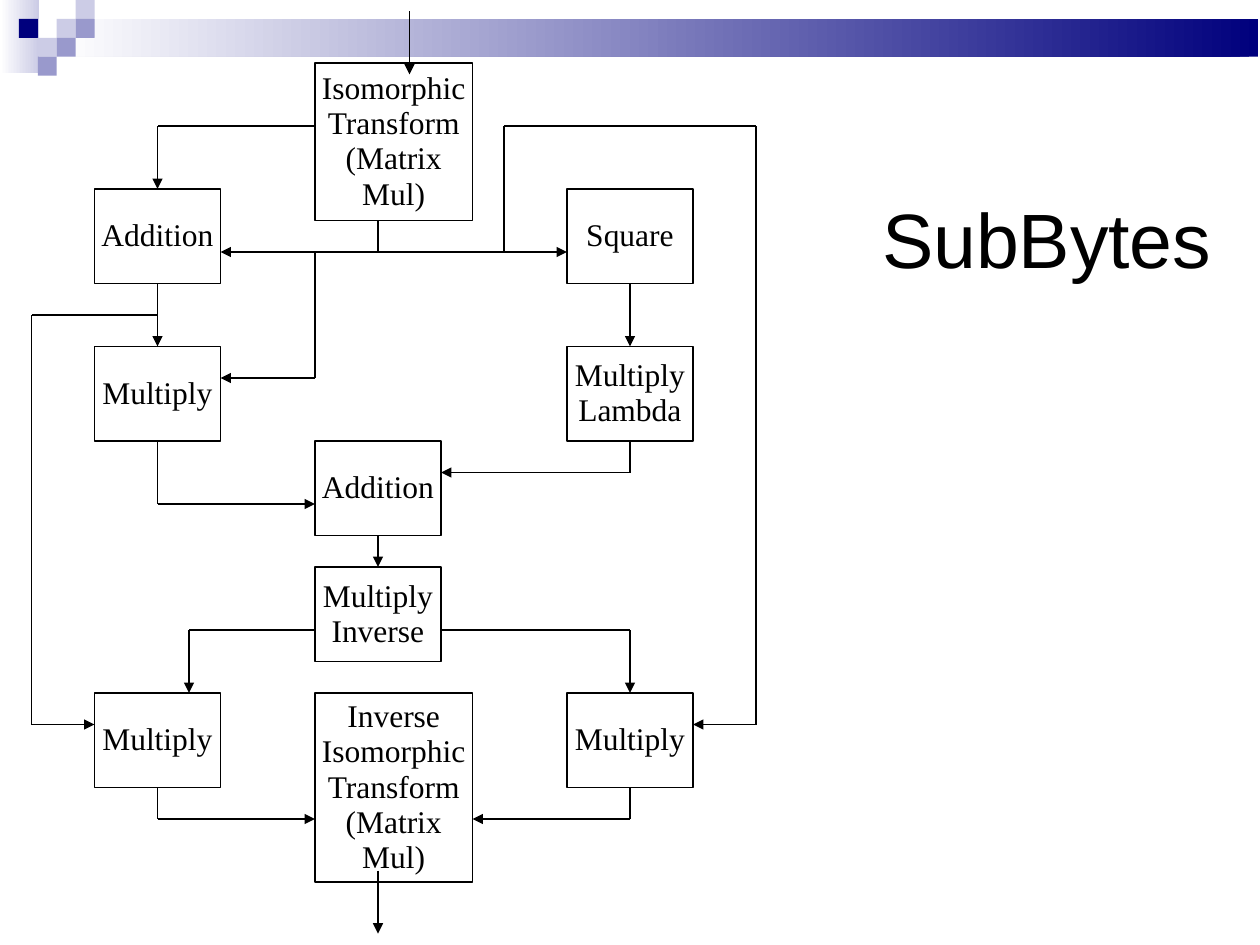
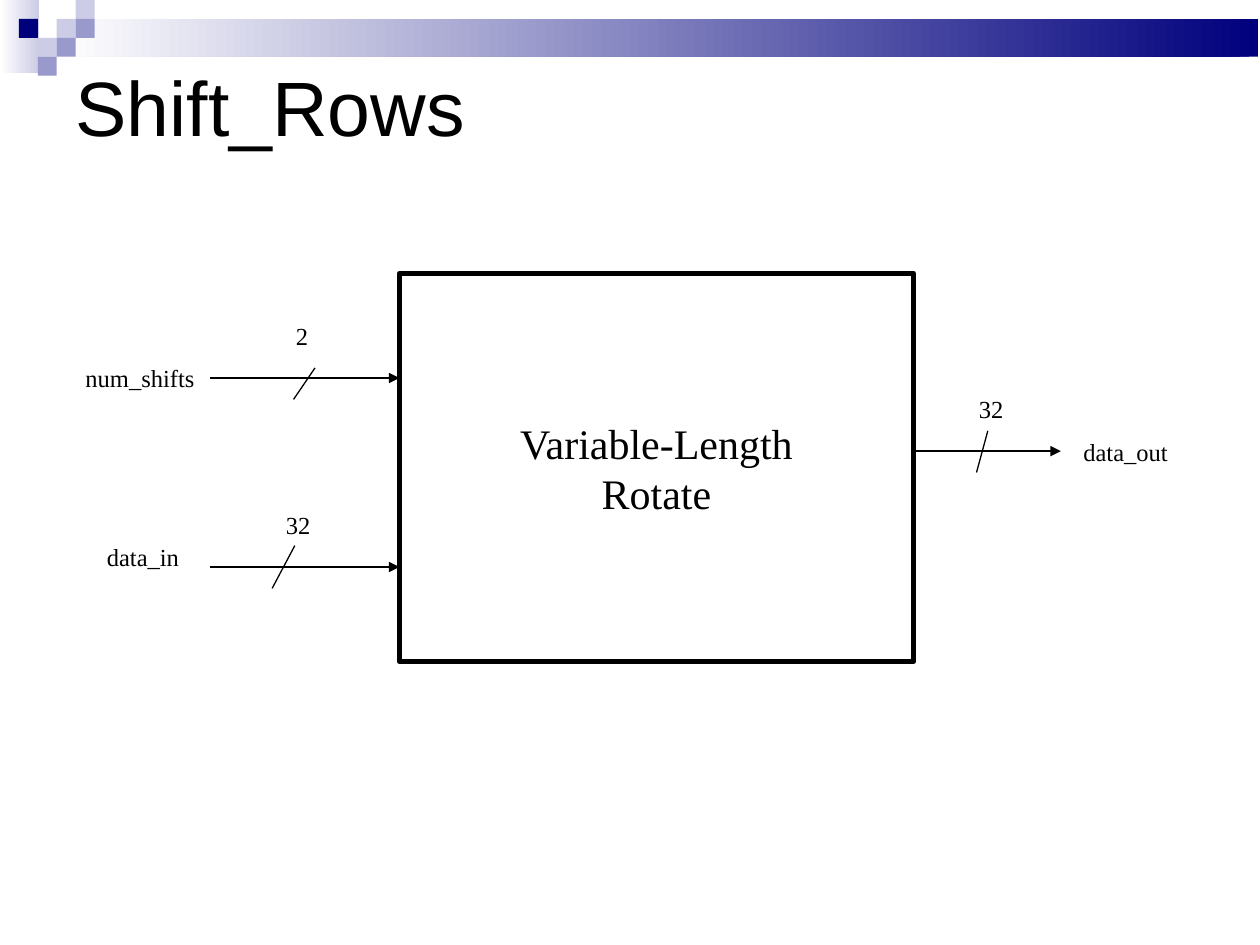
from typing import Any, NamedTuple

from lxml.etree import SubElement
from pptx import Presentation
from pptx.dml.color import RGBColor
from pptx.enum.shapes import MSO_CONNECTOR as CONNECTOR, MSO_SHAPE as SHAPE
from pptx.enum.text import MSO_ANCHOR as ANCHOR, MSO_AUTO_SIZE as FIT, PP_ALIGN as ALIGN
from pptx.oxml.ns import qn
from pptx.util import Pt

PX = 9144  # EMU per px, 100 px to the inch
COLORS = {"ink": "000000", "paper": "FFFFFF", "navy": "00007D",
          "lilac": "9999CC", "mist": "CCCCE6"}
TITLE_FONT, BODY_FONT = "Arial", "Times New Roman"
TITLE_ONLY = 5
CELL = 15

MARGINS = {"margin_left": 10 * PX, "margin_right": 10 * PX,
           "margin_top": 5 * PX, "margin_bottom": 5 * PX}
NO_MARGINS = dict.fromkeys(MARGINS, 0)
TITLE_FRAME = MARGINS | {"vertical_anchor": ANCHOR.MIDDLE, "word_wrap": True,
                         "auto_size": FIT.NONE}
BOX_FRAME = MARGINS | {"vertical_anchor": ANCHOR.MIDDLE, "word_wrap": False}
LABEL_FRAME = MARGINS | {"word_wrap": True, "auto_size": FIT.SHAPE_TO_FIT_TEXT}
LABEL_PARAGRAPH = {"alignment": ALIGN.LEFT, "space_before": Pt(8.8)}

Point = tuple[int, int]


class Area(NamedTuple):
    x: int
    y: int
    w: int
    h: int

    def emu(self) -> list[int]:
        return [v * PX for v in self]


class Block(NamedTuple):
    text: str
    area: Area
    size: int = 18
    border: float = 0.75
    spacing: float = 0.93


class Route(NamedTuple):
    points: list[Point]
    arrow: bool = True


class Signal(NamedTuple):
    name: str
    name_at: Point
    bits: str
    bits_at: Point
    wire: list[Point]
    slash: list[Point]


# Decoration cells as column, row, colour
MOSAIC = [(3, 1, "mist"), (4, 0, "mist"), (4, 1, "lilac"), (2, 2, "mist"),
          (1, 1, "navy"), (3, 2, "lilac"), (2, 3, "lilac")]

LEFT, MIDDLE, RIGHT = 75, 250, 450


def step(text: str, x: int, y: int, w: int = 100, h: int = 75) -> Block:
    return Block(text, Area(x, y, w, h))


STEPS = [
    step("Isomorphic\nTransform\n(Matrix\nMul)", MIDDLE, 50, 125, 125),
    step("Square", RIGHT, 150),
    step("Addition", LEFT, 150),
    step("Multiply\nLambda", RIGHT, 275),
    step("Multiply", LEFT, 275),
    step("Multiply", LEFT, 550),
    step("Multiply", RIGHT, 550),
    step("Multiply\nInverse", MIDDLE, 450),
    step("Addition", MIDDLE, 350),
    step("Inverse\nIsomorphic\nTransform\n(Matrix\nMul)", MIDDLE, 550, 125, 150),
]

ROUTES = [
    Route([(325, 9), (325, 59)]),
    Route([(300, 175), (300, 200)], arrow=False),
    Route([(250, 100), (125, 100), (125, 150)]),
    Route([(300, 200), (175, 200)]),
    Route([(300, 200), (450, 200)]),
    Route([(125, 225), (125, 275)]),
    Route([(250, 200), (250, 300), (175, 300)]),
    Route([(125, 350), (125, 400), (250, 400)]),
    Route([(125, 250), (25, 250), (25, 575), (75, 575)]),
    Route([(400, 200), (400, 100), (475, 100), (600, 100), (600, 575), (550, 575)]),
    Route([(500, 225), (500, 275)]),
    Route([(500, 350), (500, 375), (350, 375)]),
    Route([(300, 425), (300, 450)]),
    Route([(250, 500), (150, 500), (150, 550)]),
    Route([(350, 500), (500, 500), (500, 550)]),
    Route([(125, 625), (125, 650), (250, 650)]),
    Route([(500, 625), (500, 650), (375, 650)]),
    Route([(300, 691), (300, 741)]),
]

ROTATOR = Block("Variable-Length\nRotate", Area(317, 217, 408, 308), 24, 3, 1.0)

SIGNALS = [
    Signal("num_shifts", (58, 283), "2", (225, 250),
           [(167, 300), (317, 300)], [(250, 292), (233, 317)]),
    Signal("data_in", (75, 425), "32", (217, 400),
           [(167, 450), (317, 450)], [(234, 433), (216, 467)]),
    Signal("data_out", (850, 342), "32", (767, 308),
           [(725, 358), (842, 358)], [(784, 342), (775, 375)]),
]


def rgb(name: str) -> RGBColor:
    return RGBColor.from_string(COLORS[name])


def apply(obj: Any, values: dict[str, Any]) -> None:
    for name, value in values.items():
        setattr(obj, name, value)


def write(tf: Any, text: str, font: str, size: int, frame: dict, paragraph: dict) -> None:
    """Fill a text frame, one paragraph for each line of text."""
    apply(tf, frame)
    tf.text = text
    for p in tf.paragraphs:
        apply(p, paragraph)
        for r in p.runs:
            apply(r.font, {"name": font, "size": Pt(size)})
            r.font.color.rgb = rgb("ink")


def add_plain(slide: Any, kind: Any, area: Area) -> Any:
    s = slide.shapes.add_shape(kind, *area.emu())
    s.shadow.inherit = False
    return s


def add_tile(slide: Any, area: Area, color: str, fade: bool = False) -> Any:
    """Add a borderless tile; fade runs it to white at its left edge."""
    s = add_plain(slide, SHAPE.ROUNDED_RECTANGLE, area)
    s.adjustments[0] = 0.01
    s.line.fill.background()
    if fade:
        s.fill.gradient()
        s.fill.gradient_angle = 180
        for stop, name in zip(s.fill.gradient_stops, (color, "paper")):
            stop.color.rgb = rgb(name)
    else:
        s.fill.solid()
        s.fill.fore_color.rgb = rgb(color)
    return s


def decorate_layout(layout: Any, slide: Any) -> None:
    """Build the top band on a slide, then hand it to the shared layout."""
    tiles = [add_tile(slide, Area(0, 0, 31, 58), "mist", fade=True),
             add_tile(slide, Area(45, 15, 954, 30), "navy", fade=True)]
    tiles += [add_tile(slide, Area(col * CELL, row * CELL, CELL, CELL), color)
              for col, row, color in MOSAIC]
    for s in tiles:
        layout.shapes.element.append(s.element)


def set_title(slide: Any, text: str, area: Area, spacing: float, margins: dict) -> None:
    title = slide.shapes.title
    apply(title, dict(zip(("left", "top", "width", "height"), area.emu())))
    write(title.text_frame, text, TITLE_FONT, 44, TITLE_FRAME | margins,
          {"alignment": ALIGN.LEFT, "line_spacing": spacing})


def add_block(slide: Any, block: Block) -> Any:
    s = add_plain(slide, SHAPE.RECTANGLE, block.area)
    s.fill.solid()
    s.fill.fore_color.rgb = rgb("paper")
    s.line.color.rgb = rgb("ink")
    s.line.width = Pt(block.border)
    write(s.text_frame, block.text, BODY_FONT, block.size, BOX_FRAME,
          {"alignment": ALIGN.CENTER, "line_spacing": block.spacing})
    return s


def side_middles(area: Area) -> list[tuple[float, float]]:
    """Return the side middles in connection order: top, left, bottom, right."""
    x, y, w, h = area
    return [(x + w / 2, y), (x, y + h / 2), (x + w / 2, y + h), (x + w, y + h / 2)]


def add_line(slide: Any, start: Point, end: Point, arrow: bool, joints: dict) -> None:
    c = slide.shapes.add_connector(CONNECTOR.STRAIGHT, *(v * PX for v in start + end))
    c.line.color.rgb = rgb("ink")
    c.line.width = Pt(0.75)
    if start in joints:
        c.begin_connect(*joints[start])
    if end in joints:
        c.end_connect(*joints[end])
    sp_pr = c.element.spPr
    if arrow:
        SubElement(sp_pr.find(qn("a:ln")), qn("a:tailEnd"), type="triangle")
    SubElement(sp_pr, qn("a:effectLst"))


def add_route(slide: Any, route: Route, joints: dict) -> None:
    legs = list(zip(route.points, route.points[1:]))
    for i, (start, end) in enumerate(legs, 1):
        add_line(slide, start, end, route.arrow and i == len(legs), joints)


def add_label(slide: Any, text: str, at: Point, width: int) -> None:
    s = slide.shapes.add_textbox(*Area(*at, width, 34).emu())
    write(s.text_frame, text, BODY_FONT, 14, LABEL_FRAME, LABEL_PARAGRAPH)


def build_sub_bytes(slide: Any) -> None:
    set_title(slide, "SubBytes", Area(700, 135, 900, 115), 0.93, NO_MARGINS)
    joints = {}
    for block in STEPS:
        s = add_block(slide, block)
        joints |= {at: (s, side) for side, at in enumerate(side_middles(block.area))}
    for route in ROUTES:
        add_route(slide, route, joints)


def build_shift_rows(slide: Any) -> None:
    set_title(slide, "Shift_Rows", Area(50, 30, 900, 125), 0.71, MARGINS)
    add_block(slide, ROTATOR)
    for signal in SIGNALS:
        add_line(slide, *signal.wire, True, {})
        add_line(slide, *signal.slash, False, {})
        add_label(slide, signal.bits, signal.bits_at, 50)
        add_label(slide, signal.name, signal.name_at, 150)


def main() -> None:
    prs = Presentation()
    prs.slide_width, prs.slide_height = 1000 * PX, 750 * PX
    layout = prs.slide_layouts[TITLE_ONLY]
    sub_bytes, shift_rows = (prs.slides.add_slide(layout) for _ in range(2))
    decorate_layout(layout, sub_bytes)
    build_sub_bytes(sub_bytes)
    build_shift_rows(shift_rows)
    prs.save("out.pptx")


if __name__ == "__main__":
    main()
